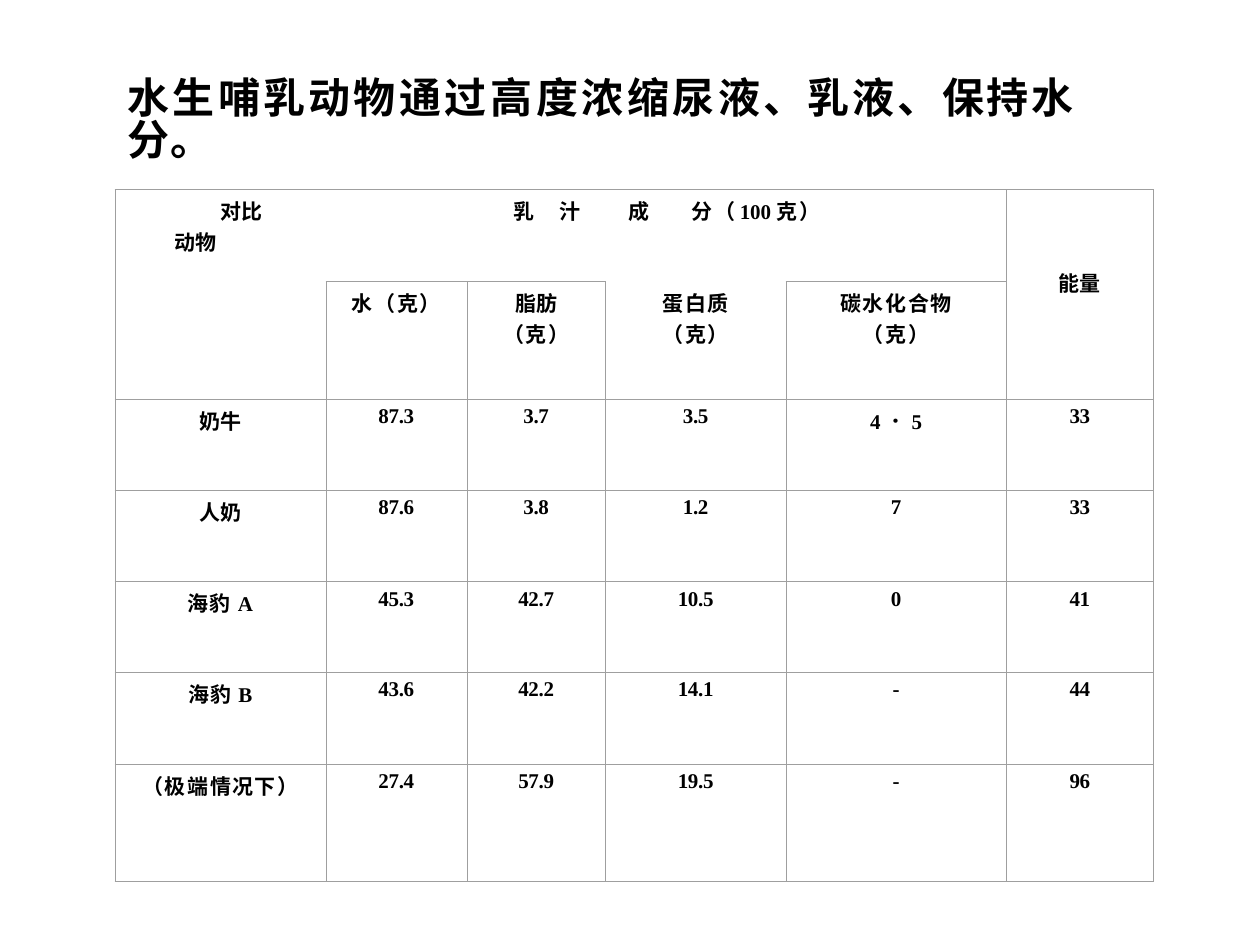
"""Build a slide with a table comparing the milk composition of land and aquatic mammals."""
from lxml.etree import SubElement
from pptx import Presentation
from pptx.dml.color import RGBColor
from pptx.enum.text import MSO_ANCHOR as Anchor, MSO_AUTO_SIZE as AutoSize, PP_ALIGN as Align
from pptx.oxml.ns import qn
from pptx.util import Cm, Pt

COLORS = {"text": "000000", "border": "9F9F9F"}
TC, SC, TIMES = "Noto Sans CJK TC", "Noto Sans CJK SC", "Times New Roman"
NO_STYLE = "{2D5ABB26-0587-4C30-8999-92F81FD0307C}"


def write(paragraph, runs, size=12, align=Align.CENTER, indent=0, tab=None, line_spacing=None):
    paragraph.alignment = align
    paragraph.line_spacing = line_spacing
    properties = paragraph._p.get_or_add_pPr()
    properties.set("marL", str(Cm(indent)))
    properties.set("indent", "0")
    if tab:
        tabs = SubElement(properties, qn("a:tabLst"))
        SubElement(tabs, qn("a:tab"), pos=str(Cm(tab)), algn="l")
    for text, typeface, spacing in runs:
        run = paragraph.add_run()
        run.text = text
        run.font.size = Pt(size)
        run.font.bold = True
        run.font.color.rgb = RGBColor.from_string(COLORS["text"])
        run.font.name = typeface
        run_properties = run._r.get_or_add_rPr()
        run_properties.set("spc", str(round(spacing * 100)))
        SubElement(run_properties, qn("a:ea"), typeface=typeface)


def draw_borders(cell, widths):
    properties = cell._tc.get_or_add_tcPr()
    for side, width in widths.items():
        line = SubElement(properties, qn(f"a:ln{side}"), w=str(Pt(width)))
        fill = SubElement(line, qn("a:solidFill"))
        SubElement(fill, qn("a:srgbClr"), val=COLORS["border"])


presentation = Presentation()
presentation.slide_width, presentation.slide_height = Cm(25.4), Cm(19.05)
slide = presentation.slides.add_slide(presentation.slide_layouts[5])

title = slide.shapes.title
title.left, title.top, title.width, title.height = Cm(2.54), Cm(1.57), Cm(19.3), Cm(2.11)
title_frame = title.text_frame
title_frame.margin_left = title_frame.margin_right = title_frame.margin_bottom = 0
title_frame.margin_top = Cm(0.03)
title_frame.word_wrap = True
title_frame.auto_size = AutoSize.SHAPE_TO_FIT_TEXT
title_frame.vertical_anchor = Anchor.TOP
title_runs = [
    ("水生哺乳动物", TC, 1.9), ("通", SC, 2), ("过", TC, 2.1), ("高", SC, 2), ("度", TC, 2),
    ("浓缩尿", SC, 2), ("液、乳液、保持水", TC, 1.6), ("分。", TC, 0.8),
]
write(title_frame.paragraphs[0], title_runs, size=24, align=Align.LEFT, indent=0.03, line_spacing=0.84)

column_widths = [4.25, 2.84, 2.8, 3.63, 4.45, 2.96]
row_heights = [1.85, 2.38, 1.83, 1.84, 1.83, 1.85, 2.36]
table = slide.shapes.add_table(
    len(row_heights), len(column_widths), Cm(2.32), Cm(3.82),
    Cm(sum(column_widths)), Cm(sum(row_heights)),
).table
table.first_row = table.horz_banding = False
table._tbl.tblPr.find(qn("a:tableStyleId")).text = NO_STYLE
for column, width in zip(table.columns, column_widths):
    column.width = Cm(width)
for row, height in zip(table.rows, row_heights):
    row.height = Cm(height)
for first, last in [((0, 0), (1, 0)), ((0, 3), (0, 4)), ((0, 5), (1, 5))]:
    table.cell(*first).merge(table.cell(*last))

left = {"align": Align.LEFT}
unit = [("（", TC, 1), ("克", SC, 0.9), ("）", TC, -0.5)]
composition = [
    ("成\t", TC, -0.5), ("分", TC, 0.9), ("（ ", TC, 0), ("100 ", TIMES, 0),
    ("克", SC, 1), ("）", TC, -0.5),
]
headers = {
    (0, 0): [([("对比", TC, 0.1)], {**left, "indent": 2.13}), ([("动物", TC, 0.2)], {**left, "indent": 1.19})],
    (0, 2): [([("乳\t汁", TC, -0.5)], {**left, "indent": 0.94, "tab": 2.08})],
    (0, 3): [(composition, {**left, "indent": 0.46, "tab": 1.6})],
    (0, 5): [([("能量", TC, 0.2)], {})],
    (1, 1): [([("水（", TC, 0.9), ("克", SC, 1), ("）", TC, -0.5)], {})],
    (1, 2): [([("脂肪", TC, 0.2)], {}), (unit, {})],
    (1, 3): [([("蛋白", SC, 0.9), ("质", TC, -0.5)], {}), (unit, {})],
    (1, 4): [([("碳水化", TC, 0.9), ("合", SC, 0.9), ("物", TC, -0.5)], {}), (unit, {})],
}
extreme_label = [("（", TC, 0.8), ("极", TC, 1), ("端", SC, 1), ("情况下", TC, 0.8), ("）", TC, -0.5)]
decimal_runs = [("4 ", TIMES, 0), ("． ", TC, 0), ("5", TIMES, -0.5)]
animals = [
    ([("奶牛", TC, 0.1)], ["87.3", "3.7", "3.5", decimal_runs, "33"]),
    ([("人奶", TC, 0.1)], ["87.6", "3.8", "1.2", "7", "33"]),
    ([("海豹 ", TC, 0.6), ("A", TIMES, -0.5)], ["45.3", "42.7", "10.5", "0", "41"]),
    ([("海豹 ", TC, 0.6), ("B", TIMES, -0.5)], ["43.6", "42.2", "14.1", "-", "44"]),
    (extreme_label, ["27.4", "57.9", "19.5", "-", "96"]),
]
contents = dict(headers)
for row_index, (label, values) in enumerate(animals, start=2):
    contents[row_index, 0] = [(label, {})]
    for column_index, value in enumerate(values, start=1):
        if isinstance(value, str):
            value = [(value, TIMES, -0.2 if len(value) > 1 else -0.5)]
        contents[row_index, column_index] = [(value, {})]

open_sides = {(0, 0): "R", (0, 1): "LR", (0, 2): "LR", (0, 3): "LB", (1, 3): "T"}
last_row, last_column = len(row_heights) - 1, len(column_widths) - 1
for row_index in range(len(row_heights)):
    for column_index in range(len(column_widths)):
        cell = table.cell(row_index, column_index)
        if cell.is_spanned:
            continue
        position = row_index, column_index
        outer = {
            "L": column_index == 0, "R": column_index == last_column,
            "T": row_index == 0, "B": row_index == last_row,
        }
        closed = [side for side in outer if side not in open_sides.get(position, "")]
        draw_borders(cell, {side: 0.5 if outer[side] else 0.25 for side in closed})
        cell.fill.background()
        cell.margin_left = cell.margin_right = cell.margin_bottom = 0
        cell.margin_top = Cm(0.12)
        for index, (runs, style) in enumerate(contents.get(position, [])):
            frame = cell.text_frame
            paragraph = frame.add_paragraph() if index else frame.paragraphs[0]
            write(paragraph, runs, **style)

energy = table.cell(0, last_column)
energy.vertical_anchor = Anchor.MIDDLE
energy.margin_top, energy.margin_bottom = 0, Cm(0.48)

presentation.save("out.pptx")
